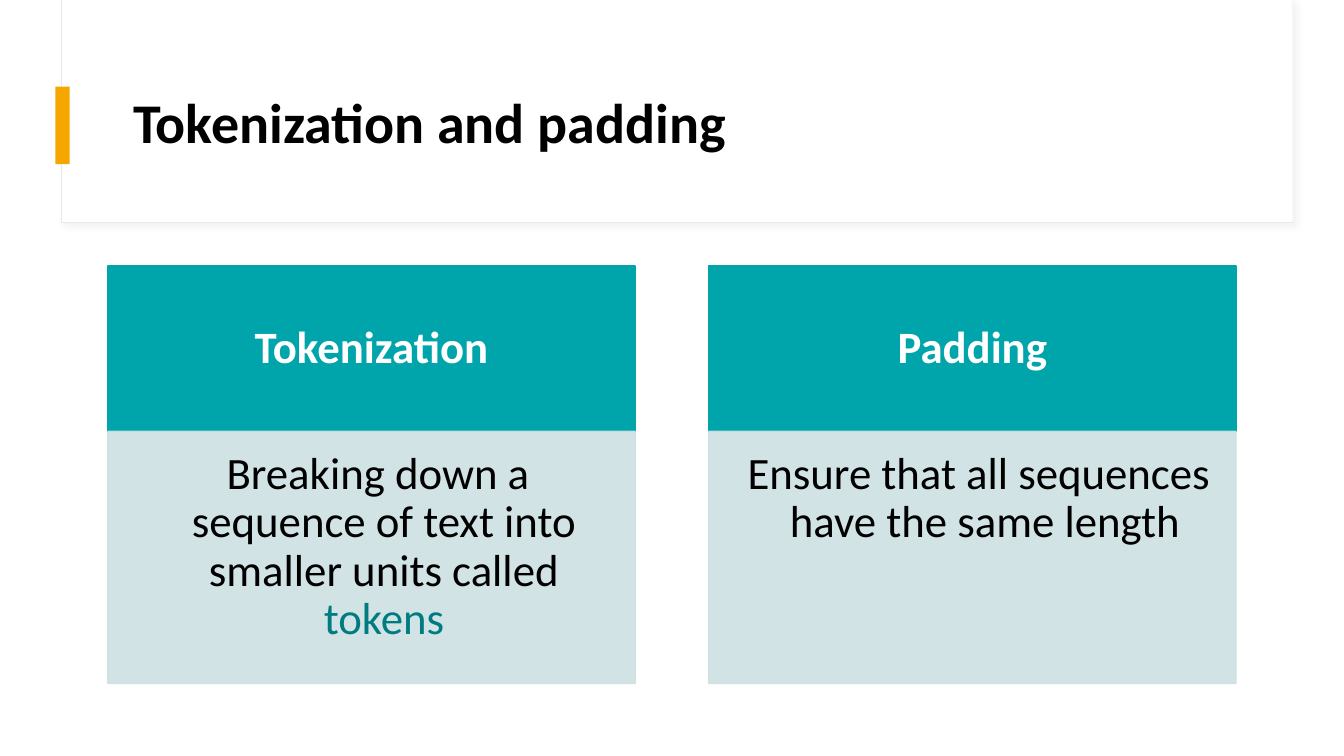
"""Build the slide on tokenization and padding."""
from dataclasses import dataclass
from typing import Any, Optional

from lxml import etree
from pptx import Presentation
from pptx.dml.color import RGBColor
from pptx.enum.shapes import MSO_SHAPE
from pptx.enum.text import MSO_ANCHOR, MSO_AUTO_SIZE, PP_ALIGN
from pptx.oxml.ns import qn
from pptx.util import Pt

PX = 9144
RECT = MSO_SHAPE.RECTANGLE
TOP, MIDDLE = MSO_ANCHOR.TOP, MSO_ANCHOR.MIDDLE
LEFT, CENTER = PP_ALIGN.LEFT, PP_ALIGN.CENTER
FIXED = MSO_AUTO_SIZE.NONE

WHITE = RGBColor(0xFF, 0xFF, 0xFF)
BLACK = RGBColor(0x00, 0x00, 0x00)
GRAY = RGBColor(0xE9, 0xE9, 0xE9)
SHADE = RGBColor(0xD9, 0xD9, 0xD9)
GOLD = RGBColor(0xF5, 0xA7, 0x00)
TEAL = RGBColor(0x00, 0xA5, 0xAB)
PALE = RGBColor(0xCC, 0xE1, 0xE2)
DEEP = RGBColor(0x00, 0x7C, 0x80)


@dataclass
class Box:
    left: int
    top: int
    width: int
    height: int
    fill: RGBColor
    line: Optional[RGBColor] = None
    weight: float = 1


@dataclass
class Run:
    text: str
    color: RGBColor = BLACK
    size: int = 32
    bold: bool = False


@dataclass
class Card:
    head: str
    body: list[Run]


PANELS = [
    Box(61, 0, 1221, 221, WHITE, GRAY, 0.75),
    Box(62, 0, 1220, 220, WHITE),
    Box(55, 86, 14, 77, GOLD),
]
CARDS = [
    Card("Tokenization", [
        Run("Breaking down a sequence of text into smaller units called "),
        Run("tokens", DEEP),
    ]),
    Card("Padding", [Run("Ensure that all sequences have the same length")]),
]
START, STEP, WIDTH = 107, 596, 523
HEAD_TOP, HEAD_TALL, BODY_TALL = 264, 164, 250


def apply(item: Any, values: dict[str, Any]) -> None:
    for name, value in values.items():
        setattr(item, name, value)


def draw(slide: Any, box: Box) -> Any:
    place = (n * PX for n in (box.left, box.top, box.width, box.height))
    shape = slide.shapes.add_shape(RECT, *place)
    shape.shadow.inherit = False
    shape.fill.solid()
    shape.fill.fore_color.rgb = box.fill
    if box.line is None:
        shape.line.fill.background()
    else:
        shape.line.color.rgb = box.line
        shape.line.width = Pt(box.weight)
    return shape


def fade(node: Any, share: int) -> None:
    for color in node.iter(qn("a:srgbClr")):
        etree.SubElement(color, qn("a:alpha"), val=str(share * 1000))


def shade(shape: Any) -> None:
    effect = shape._element.spPr.find(qn("a:effectLst"))
    outer = etree.SubElement(
        effect, qn("a:outerShdw"), blurRad=str(Pt(4)), dist=str(Pt(3)),
        dir="2700000", algn="tl", rotWithShape="0")
    etree.SubElement(outer, qn("a:srgbClr"), val=str(SHADE))
    fade(outer, 30)


def write(shape: Any, runs: list[Run], align: Any, anchor: Any,
          inset: tuple[int, int, int, int]) -> Any:
    frame = shape.text_frame
    sides = ("margin_left", "margin_top", "margin_right", "margin_bottom")
    apply(frame, {"word_wrap": True, "auto_size": FIXED,
                  "vertical_anchor": anchor})
    apply(frame, {side: n * PX for side, n in zip(sides, inset)})
    para = frame.paragraphs[0]
    apply(para, {"alignment": align, "line_spacing": 0.9})
    for part in runs:
        run = para.add_run()
        run.text = part.text
        apply(run.font, {"name": "Calibri", "size": Pt(part.size),
                         "bold": part.bold})
        run.font.color.rgb = part.color
    return para


def add_card(slide: Any, card: Card, left: int) -> None:
    head = draw(slide, Box(left, HEAD_TOP, WIDTH, HEAD_TALL, TEAL, TEAL))
    write(head, [Run(card.head, WHITE, bold=True)], CENTER, MIDDLE,
          (25, 14, 25, 14))
    top = HEAD_TOP + HEAD_TALL
    body = draw(slide, Box(left, top, WIDTH, BODY_TALL, PALE, PALE))
    fade(body._element.spPr, 90)
    para = write(body, card.body, CENTER, TOP, (19, 19, 25, 28))
    props = para._p.get_or_add_pPr()
    props.set("marL", str(31 * PX))
    props.set("indent", str(-12 * PX))


def main() -> None:
    deck = Presentation()
    apply(deck, {"slide_width": 1333 * PX, "slide_height": 750 * PX})
    slide = deck.slides.add_slide(deck.slide_layouts[5])
    panels = [draw(slide, box) for box in PANELS]
    shade(panels[0])
    title = slide.shapes.title
    slide.shapes._spTree.append(title._element)
    apply(title, {"left": 122 * PX, "top": 60 * PX,
                  "width": 1112 * PX, "height": 129 * PX})
    write(title, [Run("Tokenization and padding", size=40, bold=True)],
          LEFT, MIDDLE, (10, 5, 10, 5))
    for index, card in enumerate(CARDS):
        add_card(slide, card, START + index * STEP)
    deck.save("out.pptx")


if __name__ == "__main__":
    main()
